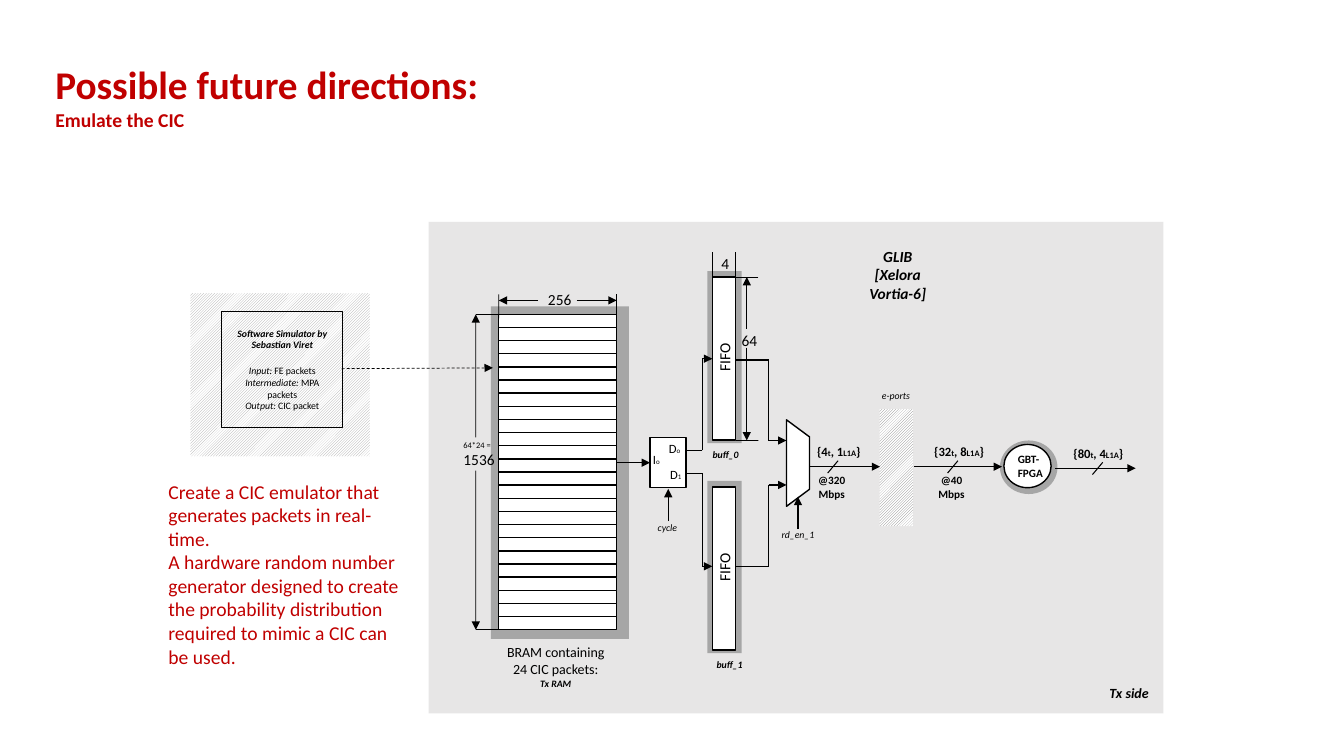
from dataclasses import dataclass
from itertools import pairwise
from typing import Any

from lxml import etree
from pptx import Presentation
from pptx.dml.color import RGBColor
from pptx.enum.dml import MSO_LINE, MSO_PATTERN
from pptx.enum.shapes import MSO_CONNECTOR, MSO_SHAPE
from pptx.enum.text import MSO_ANCHOR, MSO_AUTO_SIZE, PP_ALIGN
from pptx.oxml.ns import qn
from pptx.util import Cm, Pt

LEFT, CENTER = PP_ALIGN.LEFT, PP_ALIGN.CENTER
TOP, MIDDLE = MSO_ANCHOR.TOP, MSO_ANCHOR.MIDDLE
RECT, OVAL, TRAPEZOID = MSO_SHAPE.RECTANGLE, MSO_SHAPE.OVAL, MSO_SHAPE.TRAPEZOID
LIGHT_HATCH = MSO_PATTERN.LIGHT_UPWARD_DIAGONAL
DARK_HATCH = MSO_PATTERN.DARK_UPWARD_DIAGONAL
STRAIGHT, DASH, NO_FIT = MSO_CONNECTOR.STRAIGHT, MSO_LINE.DASH, MSO_AUTO_SIZE.NONE


@dataclass(frozen=True)
class Theme:
    font: str = "Calibri"
    red: str = "C00000"
    ink: str = "000000"
    paper: str = "FFFFFF"
    panel: str = "E7E6E6"
    halo: str = "A6A6A6"
    port: str = "808080"
    title: float = 28
    body: float = 14
    dimension: float = 11
    caption: float = 10
    signal: float = 9
    rate: float = 8
    small: float = 7
    suffix: float = 6
    pin: float = 5
    wire: float = 1
    slash: float = 0.75
    thin: float = 0.5


THEME = Theme()


def color(code):
    return RGBColor.from_string(code)


def write(frame, paragraphs, align=LEFT, ink=THEME.ink, anchor=TOP):
    """Each paragraph is a list of (text, size, style) runs; style holds b and i."""
    frame.word_wrap = True
    frame.auto_size = NO_FIT
    frame.vertical_anchor = anchor
    for index, runs in enumerate(paragraphs):
        paragraph = frame.add_paragraph() if index else frame.paragraphs[0]
        paragraph.alignment = align
        paragraph.space_before = Pt(0)
        for text, size, style in runs:
            run = paragraph.add_run()
            run.text = text
            font = run.font
            font.name, font.size = THEME.font, Pt(size)
            font.bold, font.italic = "b" in style, "i" in style
            font.color.rgb = color(ink)


@dataclass
class Box:
    """A region of the slide in centimetres; parts are placed from its corner."""
    slide: Any
    left: float
    top: float
    width: float
    height: float

    def place(self, x, y, width, height):
        return Cm(self.left + x), Cm(self.top + y), Cm(width), Cm(height)

    def shape(self, x, y, width, height, fill, outline=False, kind=RECT, hatch=None):
        shape = self.slide.shapes.add_shape(kind, *self.place(x, y, width, height))
        shape.shadow.inherit = False
        if hatch is None:
            shape.fill.solid()
            shape.fill.fore_color.rgb = color(fill)
        else:
            shape.fill.patterned()
            shape.fill.pattern = hatch
            shape.fill.fore_color.rgb = color(fill)
            shape.fill.back_color.rgb = color(THEME.paper)
        if outline:
            shape.line.color.rgb = color(THEME.ink)
            shape.line.width = Pt(THEME.wire)
        else:
            shape.line.fill.background()
        return shape

    def back(self, fill, kind=RECT, hatch=None, outline=False):
        return self.shape(0, 0, self.width, self.height, fill, outline, kind, hatch)

    def text(self, x, y, width, height, paragraphs, align=CENTER):
        label = self.slide.shapes.add_textbox(*self.place(x, y, width, height))
        write(label.text_frame, paragraphs, align)
        return label

    def wire(self, *points, weight=THEME.wire, arrow=True, dash=None):
        """Joins the points; the arrowhead sits on the last one."""
        for start, end in pairwise(points):
            x1, y1, x2, y2 = self.place(*start, *end)
            line = self.slide.shapes.add_connector(
                STRAIGHT, x1, y1, Cm(self.left) + x2, Cm(self.top) + y2)
            line.line.color.rgb = color(THEME.ink)
            line.line.width = Pt(weight)
            if dash:
                line.line.dash_style = dash
            if arrow and end == points[-1]:
                etree.SubElement(line.line._get_or_add_ln(), qn("a:tailEnd"), type="triangle")
            etree.SubElement(line._element.spPr, qn("a:effectLst"))

    def extension(self, start, end):
        self.wire(start, end, weight=THEME.thin, arrow=False)

    def dimension(self, start, end):
        self.wire(start, end, weight=THEME.thin)


def fill_placeholder(holder, box, paragraphs):
    holder.left, holder.top, holder.width, holder.height = box.place(0, 0, box.width, box.height)
    write(holder.text_frame, paragraphs, ink=THEME.red)
    for paragraph in holder.text_frame.paragraphs:
        properties = paragraph._p.get_or_add_pPr()
        properties.set("marL", "0")
        properties.set("indent", "0")
        etree.SubElement(properties, qn("a:buNone"))


def glib_panel(box):
    box.back(THEME.panel)
    box.text(10.29, 0.51, 3.07, 1.19, [[("GLIB", THEME.dimension, "bi")],
                                       [("[Xelora Vortia-6]", THEME.dimension, "bi")]])
    box.text(16.87, 11.53, 1.57, 0.69, [[("Tx side", THEME.caption, "bi")]])


def bram(box, packets=24):
    box.back(THEME.halo)
    left, right, first, last = 0.2, 3.17, 0.2, 8.15
    row = (last - first) / packets
    for packet in range(packets):
        box.shape(left, first + packet * row, right - left, row, THEME.paper, outline=True)
    # Width dimension
    box.text(1.19, -0.53, 1.5, 0.74, [[("256", THEME.dimension, "")]], LEFT)
    for edge, label_side in ((left, 1.19), (right, 2.16)):
        box.extension((edge, 0.3), (edge, -0.3))
        box.dimension((label_side, -0.15), (edge, -0.15))
    # Depth dimension
    box.text(-0.94, 3.25, 1.5, 0.99, [[("64*24 =", THEME.suffix, "")],
                                      [("1536", THEME.dimension, "")]], LEFT)
    for edge, label_side in ((first, 3.3), (last, 4.14)):
        box.extension((left, edge), (-0.38, edge))
        box.dimension((-0.38, label_side), (-0.38, edge))
    box.text(0.15, 8.38, 2.97, 1.42, [[("BRAM containing 24 CIC packets:", THEME.caption, "")],
                                      [("Tx RAM", THEME.small, "bi")]])


def fifo(box, name, name_left):
    box.back(THEME.halo)
    box.shape(0.13, 0.15, 0.58, 4.11, THEME.paper, outline=True)
    label = box.text(-0.2, 1.83, 1.22, 0.69, [[("FIFO", THEME.dimension, "")]])
    label.rotation = 270
    label.text_frame.word_wrap = False
    box.text(name_left, 4.35, 1.37, 0.56, [[(name, THEME.small, "bi")]])


def fifo_dimensions(box):
    box.text(0.1, -0.56, 0.64, 0.74, [[("4", THEME.dimension, "")]], LEFT)
    box.text(0.61, 1.4, 1.14, 0.74, [[("64", THEME.dimension, "")]], LEFT)
    for side in (0.13, 0.7):
        box.extension((side, 0.15), (side, -0.48))
    for edge, label_side in ((0.15, 1.45), (4.27, 1.93)):
        box.extension((1.28, edge), (0.71, edge))
        box.dimension((0.99, label_side), (0.99, edge))


def demux(box):
    box.back(THEME.paper, outline=True)
    box.wire((-0.84, 0.64), (0, 0.64))
    for pin_y, fifo_y in ((0.33, -1.98), (0.91, 3.25)):
        box.wire((box.width, pin_y), (1.32, pin_y), (1.32, fifo_y), (1.57, fifo_y))
    for letter, index, x, y in (("I", "o", -0.28, 0.25), ("D", "o", 0.18, -0.03),
                                ("D", "1", 0.21, 0.61)):
        box.text(x, y, 0.88, 0.64, [[(letter, THEME.signal, ""), (index, THEME.pin, "")]])
    box.wire((0.46, 2.11), (0.46, 1.3))
    box.text(-0.18, 2.01, 1.24, 0.56, [[("cycle", THEME.small, "i")]])


def mux(box):
    turn = (box.height - box.width) / 2
    body = box.shape(-turn, turn, box.height, box.width, THEME.paper, True, TRAPEZOID)
    body.adjustments[0] = 0.74
    body.rotation = 90
    for fifo_y, input_y in ((-1.51, 0.52), (3.69, 1.64)):
        box.wire((-1.28, fifo_y), (-0.45, fifo_y), (-0.45, input_y), (0, input_y))
    box.wire((0.29, 2.75), (0.29, 1.94))
    box.text(-0.6, 2.63, 1.78, 0.56, [[("rd_en_1", THEME.small, "i")]])


def e_ports(box):
    box.back(THEME.port, hatch=DARK_HATCH)
    box.text(-0.48, -0.61, 1.78, 0.56, [[("e-ports", THEME.small, "i")]])


def gbt_fpga(box):
    box.back(THEME.halo, kind=OVAL)
    box.shape(0.1, 0.1, 1.19, 1.09, THEME.paper, True, OVAL)
    box.text(0.2, 0.18, 1.42, 0.94, [[("GBT-FPGA", THEME.rate, "b")]], LEFT)


def link(box, trigger, l1a, label_x, slash_x, rate=None, rate_x=0):
    box.wire((0, 0), (box.width, 0))
    box.wire((slash_x + 0.26, -0.15), (slash_x, 0.16), weight=THEME.slash, arrow=False)
    box.text(label_x, -0.7, 1.92, 0.64, [[
        ("{" + trigger, THEME.signal, "b"), ("t", THEME.suffix, "b"),
        (", " + l1a, THEME.signal, "b"), ("L1A", THEME.suffix, "b"),
        ("}", THEME.signal, "b")]])
    if rate:
        box.text(rate_x, 0.05, 1.78, 0.94, [[(rate, THEME.rate, "b")],
                                            [("Mbps", THEME.rate, "b")]])


def simulator(box):
    box.back(THEME.halo, hatch=LIGHT_HATCH)
    core = box.shape(0.79, 0.46, 3.05, 2.92, THEME.halo, True, hatch=LIGHT_HATCH)
    flows = (("Input: ", "FE packets"), ("Intermediate: ", "MPA packets"),
             ("Output: ", "CIC packet"))
    heading = [("Software Simulator by Sebastian Viret", THEME.small, "bi")]
    write(core.text_frame, [heading] + [
        [(stage, THEME.small, "i"), (data, THEME.small, "")] for stage, data in flows
    ], CENTER, anchor=MIDDLE)
    core.text_frame.paragraphs[1].space_before = Pt(10)
    box.wire((3.81, 1.9), (7.62, 1.88), weight=THEME.thin, dash=DASH)


deck = Presentation()
deck.slide_width, deck.slide_height = Cm(33.87), Cm(19.05)
slide = deck.slides.add_slide(deck.slide_layouts[1])

# Title and remarks
fill_placeholder(slide.shapes.title, Box(slide, 1.14, 1.4, 28.19, 2.06), [
    [("Possible future directions:", THEME.title, "b")],
    [("Emulate the CIC", THEME.body, "b")]])
fill_placeholder(slide.placeholders[1], Box(slide, 3.99, 11.96, 6.4, 5.05), [
    [("Create a CIC emulator that generates packets in real-time.", THEME.body, "")],
    [("A hardware random number generator designed to create the probability "
      "distribution required to mimic a CIC can be used.", THEME.body, "")]])

# Memory and buffers
glib_panel(Box(slide, 10.8, 5.59, 18.52, 12.39))
bram(Box(slide, 12.37, 7.72, 3.48, 8.38))
buffer_0 = Box(slide, 17.83, 6.83, 0.86, 4.34)
fifo(buffer_0, "buff_0", -0.23)
fifo_dimensions(buffer_0)
fifo(Box(slide, 17.83, 12.12, 0.86, 4.34), "buff_1", -0.13)
demux(Box(slide, 16.38, 11.02, 0.91, 1.27))
mux(Box(slide, 19.82, 10.58, 0.58, 2.18))

# Output chain
e_ports(Box(slide, 22.17, 10.31, 0.84, 2.95))
gbt_fpga(Box(slide, 25.2, 11.1, 1.45, 1.35))
link(Box(slide, 20.4, 11.76, 1.78, 0), "4", "1", -0.22, 0.46, "@320", -0.33)
link(Box(slide, 23.04, 11.76, 2.21, 0), "32", "8", 0.17, 0.84, "@40", 0.05)
link(Box(slide, 26.59, 11.8, 2.03, 0), "80", "4", 0.13, 0.94)

# Packet source
simulator(Box(slide, 4.8, 7.39, 4.52, 4.11))

deck.save("out.pptx")
